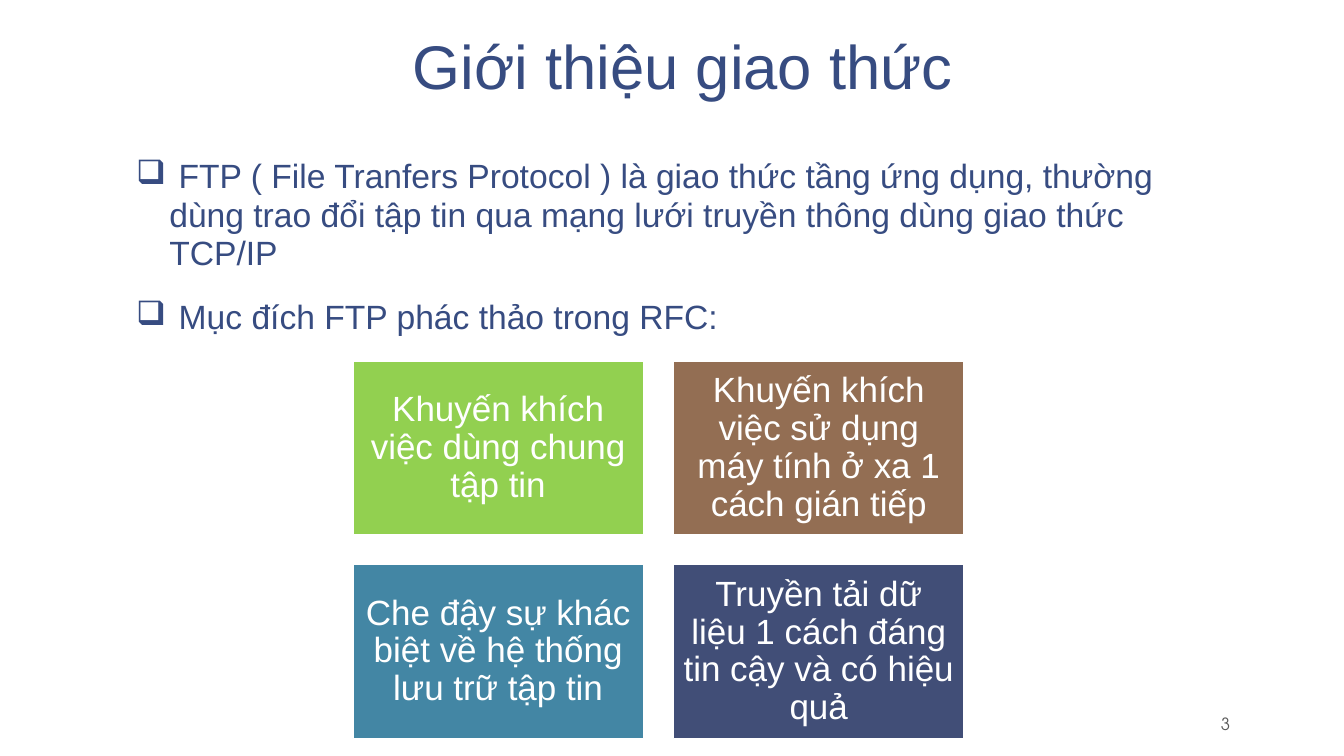
from lxml import etree
from pptx import Presentation
from pptx.dml.color import RGBColor
from pptx.enum import shapes, text
from pptx.oxml.ns import qn
from pptx.util import Inches, Pt

NAVY = "374C81"
WHITE = "FFFFFF"
GREY = "595959"

INTRODUCTION = [
    " FTP ( File Tranfers Protocol ) là giao thức tầng ứng dụng, thường "
    "dùng trao đổi tập tin qua mạng lưới truyền thông dùng giao thức TCP/IP",
    " Mục đích FTP phác thảo trong RFC:",
]
PURPOSES = [
    ("Khuyến khích việc dùng chung tập tin", "92D050"),
    ("Khuyến khích việc sử dụng máy tính ở xa 1 cách gián tiếp", "936E53"),
    ("Che đậy sự khác biệt về hệ thống lưu trữ tập tin", "4386A4"),
    ("Truyền tải dữ liệu 1 cách đáng tin cậy và có hiệu quả", "414E77"),
]


def color(value):
    return RGBColor.from_string(value)


def set_frame(frame, anchor, side, top):
    frame.word_wrap = True
    frame.vertical_anchor = anchor
    frame.margin_left = frame.margin_right = Inches(side)
    frame.margin_top = frame.margin_bottom = Inches(top)


def add_run(paragraph, words, size, ink, font="Arial"):
    run = paragraph.add_run()
    run.text = words
    run.font.size = Pt(size)
    run.font.name = font
    run.font.color.rgb = color(ink)


def add_label(slide, box, words, size, ink, align, spacing=1.0, font="Arial"):
    """Single paragraph standing on the bottom of its box."""
    frame = slide.shapes.add_textbox(*map(Inches, box)).text_frame
    set_frame(frame, text.MSO_ANCHOR.BOTTOM, 0.13, 0.07)
    paragraph = frame.paragraphs[0]
    paragraph.alignment = align
    paragraph.line_spacing = spacing
    add_run(paragraph, words, size, ink, font)


def add_bullets(slide, box, items):
    frame = slide.shapes.add_textbox(*map(Inches, box)).text_frame
    set_frame(frame, text.MSO_ANCHOR.TOP, 0.13, 0.07)
    for index, item in enumerate(items):
        paragraph = frame.add_paragraph() if index else frame.paragraphs[0]
        paragraph.line_spacing = 0.95
        paragraph.space_before = Pt(18.7)
        # Hanging indent and bullet character
        properties = paragraph._p.get_or_add_pPr()
        properties.set("marL", str(Inches(0.33)))
        properties.set("indent", str(-Inches(0.33)))
        etree.SubElement(properties, qn("a:buChar")).set("char", "❑")
        add_run(paragraph, item, 24, NAVY)


def add_purpose(slide, box, words, fill):
    card = slide.shapes.add_shape(shapes.MSO_SHAPE.RECTANGLE, *map(Inches, box))
    card.shadow.inherit = False
    card.fill.solid()
    card.fill.fore_color.rgb = color(fill)
    card.line.color.rgb = color(WHITE)
    card.line.width = Pt(1)
    set_frame(card.text_frame, text.MSO_ANCHOR.MIDDLE, 0.1, 0.1)
    paragraph = card.text_frame.paragraphs[0]
    paragraph.alignment = text.PP_ALIGN.CENTER
    paragraph.line_spacing = 0.9
    add_run(paragraph, words, 25, WHITE)


def main():
    deck = Presentation()
    deck.slide_width = Inches(13.33)
    deck.slide_height = Inches(7.5)
    slide = deck.slides.add_slide(deck.slide_layouts[6])

    # Title and introduction
    add_label(slide, (1.22, 0.08, 11.11, 1), "Giới thiệu giao thức",
              44, NAVY, text.PP_ALIGN.CENTER, 0.85)
    add_bullets(slide, (1.22, 1.5, 11.11, 5.25), INTRODUCTION)

    # Two by two grid of purposes
    for index, (words, fill) in enumerate(PURPOSES):
        row, column = divmod(index, 2)
        box = (3.5 + column * 3.18, 3.58 + row * 2.02, 2.88, 1.73)
        add_purpose(slide, box, words, fill)

    # Page number
    add_label(slide, (11.12, 7, 1.21, 0.35), "3", 12, GREY,
              text.PP_ALIGN.RIGHT, font="TeX Gyre Adventor")

    deck.save("out.pptx")


if __name__ == "__main__":
    main()
